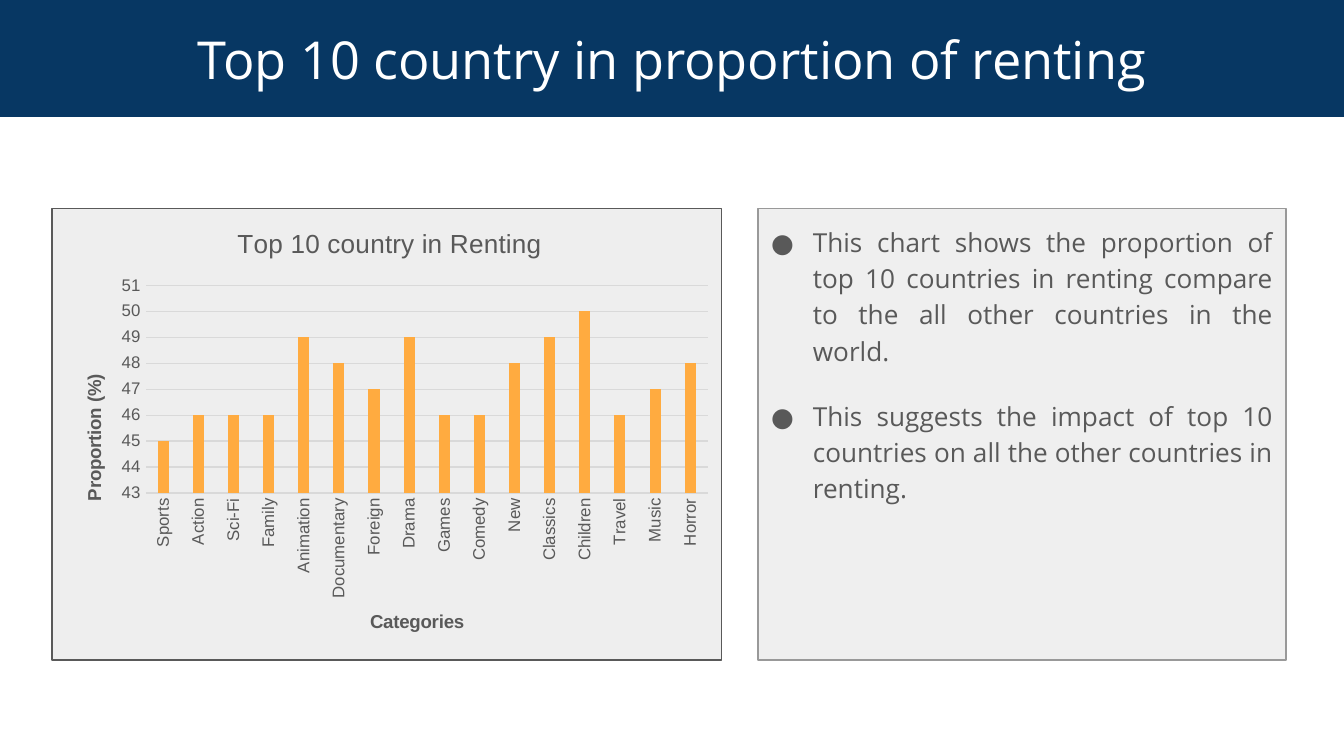
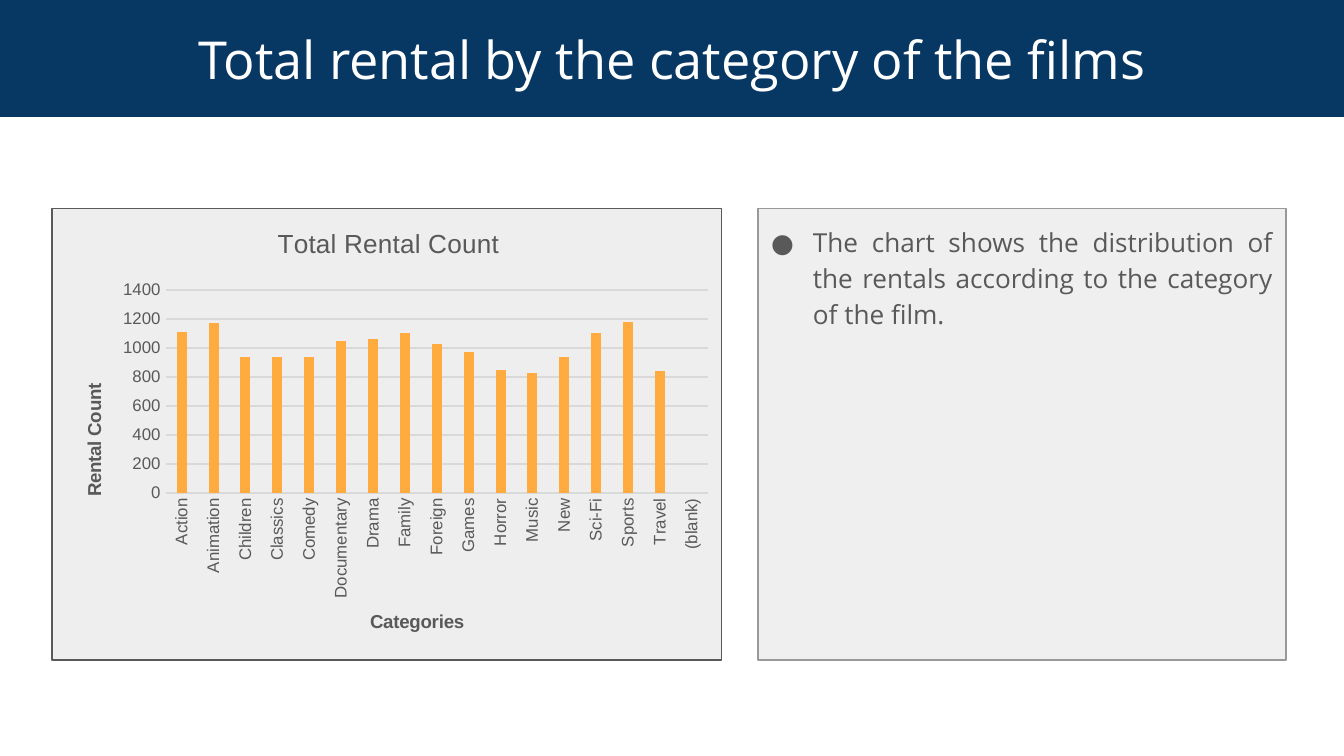
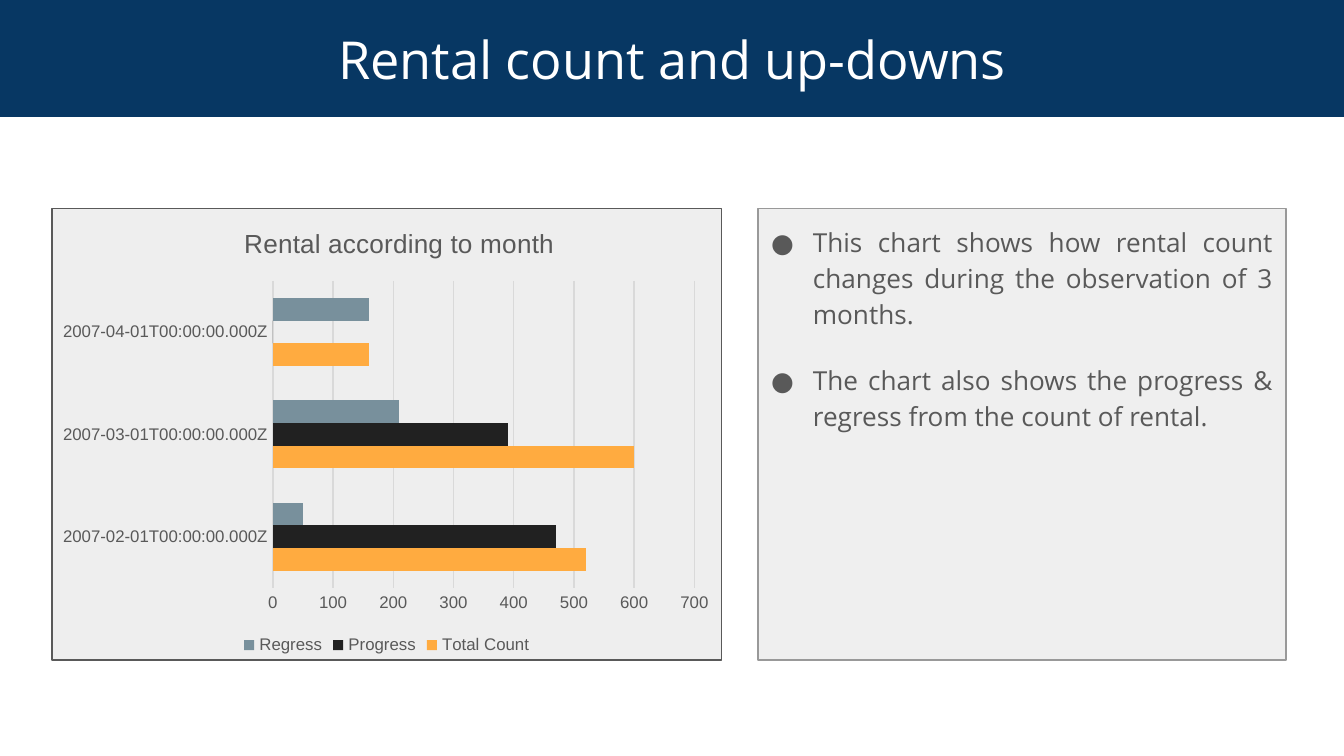
from dataclasses import dataclass
from typing import NamedTuple, Optional

from lxml import etree
from pptx import Presentation
from pptx import util as u
from pptx.chart.data import CategoryChartData
from pptx.dml.color import RGBColor
from pptx.enum import chart as ch, shapes, text
from pptx.oxml import parse_xml
from pptx.oxml.ns import nsdecls, qn


class Area(NamedTuple):
    """A box in cells of the slide grid."""
    col: float
    row: float
    cols: float
    rows: float


class Spot(NamedTuple):
    """A place inside a chart, as shares of its size."""
    x: float
    y: float
    w: Optional[float] = None
    h: Optional[float] = None


class Measure(NamedTuple):
    name: str
    values: list
    color: str


class Scale(NamedTuple):
    low: float
    high: float
    step: float


class AxisName(NamedTuple):
    wording: str
    spot: Spot
    upright: bool = False


@dataclass
class RentalChart:
    heading: str
    heading_spot: Spot
    plot_spot: Spot
    scale: Scale
    categories: list
    measures: list
    category_name: Optional[AxisName] = None
    value_name: Optional[AxisName] = None
    horizontal: bool = False


@dataclass
class Topic:
    title: str
    points: list
    chart: RentalChart


# Shared look: a 16:9 slide whose grid has 100 columns of square cells
WIDTH = u.Inches(10)
HEIGHT = u.Emu(WIDTH * 9 // 16)
CELL = WIDTH / 100
BAND = Area(0, 0, 100, 8.7)
CHART_PANEL = Area(3.87, 15.53, 49.8, 33.6)
NOTES_PANEL = Area(56.4, 15.53, 39.3, 33.6)

NAVY, WHITE, GREY = "073763", "FFFFFF", "595959"
CHART_FILL, NOTES_FILL, NOTES_EDGE = "EEEEEE", "EFEFEF", "999999"
GRID, ORANGE, BLACK, SLATE = "D9D9D9", "FFAB40", "212121", "78909C"
TEXT_FONT, CHART_FONT = "Open Sans", "Arial"
HAIRLINE = u.Pt(0.75)
QUARTER_TURN = "-5400000"


def rgb(color: str) -> RGBColor:
    return RGBColor.from_string(color)


def emu(area: Area) -> list:
    return [u.Emu(round(cells * CELL)) for cells in area]


def set_font(font, name: str, size: float, color: str, bold: bool = False) -> None:
    font.name, font.size, font.bold = name, u.Pt(size), bold
    font.color.rgb = rgb(color)


def set_line(line, color: str) -> None:
    line.color.rgb = rgb(color)
    line.width = HAIRLINE


def add_panel(slide, area: Area, fill: str, edge: Optional[str] = None):
    panel = slide.shapes.add_shape(shapes.MSO_SHAPE.RECTANGLE, *emu(area))
    panel.shadow.inherit = False
    panel.fill.solid()
    panel.fill.fore_color.rgb = rgb(fill)
    if edge:
        set_line(panel.line, edge)
    else:
        panel.line.fill.background()
    frame = panel.text_frame
    frame.word_wrap = True
    frame.margin_left = frame.margin_right = u.Inches(0.1)
    frame.margin_top = frame.margin_bottom = u.Inches(0.1)
    return panel


def add_title_band(slide, title: str) -> None:
    frame = add_panel(slide, BAND, NAVY).text_frame
    frame.vertical_anchor = text.MSO_ANCHOR.MIDDLE
    frame.text = title
    paragraph = frame.paragraphs[0]
    paragraph.alignment = text.PP_ALIGN.CENTER
    set_font(paragraph.runs[0].font, TEXT_FONT, 28, WHITE)


def add_bullet(paragraph) -> None:
    properties = paragraph._p.get_or_add_pPr()
    indent = u.Inches(0.31)
    properties.set("marL", str(indent))
    properties.set("indent", str(-indent))
    color = etree.SubElement(properties, qn("a:buClr"))
    etree.SubElement(color, qn("a:srgbClr")).set("val", GREY)
    etree.SubElement(properties, qn("a:buSzPts")).set("val", "1400")
    etree.SubElement(properties, qn("a:buFont")).set("typeface", TEXT_FONT)
    etree.SubElement(properties, qn("a:buChar")).set("char", "●")


def add_notes(slide, points: list) -> None:
    frame = add_panel(slide, NOTES_PANEL, NOTES_FILL, NOTES_EDGE).text_frame
    frame.vertical_anchor = text.MSO_ANCHOR.TOP
    frame.text = "\n".join(points)
    for paragraph in frame.paragraphs:
        paragraph.alignment = text.PP_ALIGN.JUSTIFY
        paragraph.line_spacing = 1.15
        paragraph.space_after = u.Pt(16)
        add_bullet(paragraph)
        set_font(paragraph.runs[0].font, TEXT_FONT, 14, GREY)


def place(element, spot: Spot) -> None:
    """Give a chart part a fixed place."""
    for automatic in element.findall(qn("c:layout")):
        element.remove(automatic)
    layout = etree.Element(qn("c:layout"))
    manual = etree.SubElement(layout, qn("c:manualLayout"))
    settings = [("xMode", "edge"), ("yMode", "edge")]
    settings += [(key, str(share)) for key, share in spot._asdict().items()
                 if share is not None]
    if spot.w is not None:
        settings.insert(0, ("layoutTarget", "inner"))
    for key, setting in settings:
        etree.SubElement(manual, qn("c:" + key)).set("val", setting)
    element.insert(0 if element.find(qn("c:tx")) is None else 1, layout)


def write_heading(heading, wording: str, spot: Spot, size: float,
                  bold: bool = False, upright: bool = False) -> None:
    frame = heading.text_frame
    frame.text = wording
    set_font(frame.paragraphs[0].runs[0].font, CHART_FONT, size, GREY, bold)
    if upright:
        turn(heading._element)
    place(heading._element, spot)


def turn(element) -> None:
    body = next(element.iter(qn("a:bodyPr")))
    body.set("rot", QUARTER_TURN)
    body.set("vert", "horz")


def style_axis(axis, name: Optional[AxisName]) -> None:
    axis.major_tick_mark = axis.minor_tick_mark = ch.XL_TICK_MARK.NONE
    set_font(axis.tick_labels.font, CHART_FONT, 9, GREY)
    axis.has_title = name is not None
    if name:
        write_heading(axis.axis_title, name.wording, name.spot, 10, True, name.upright)


def add_rental_chart(slide, content: RentalChart) -> None:
    data = CategoryChartData()
    data.categories = content.categories
    for measure in content.measures:
        data.add_series(measure.name, measure.values)
    kind = (ch.XL_CHART_TYPE.BAR_CLUSTERED if content.horizontal
            else ch.XL_CHART_TYPE.COLUMN_CLUSTERED)
    chart = slide.shapes.add_chart(kind, *emu(CHART_PANEL), data).chart

    # The panel behind shows through
    chart._chartSpace.chart.addnext(parse_xml(
        f"<c:spPr {nsdecls('c', 'a')}><a:noFill/><a:ln><a:noFill/></a:ln></c:spPr>"))
    set_font(chart.font, CHART_FONT, 10, "000000")
    chart.has_title = True
    write_heading(chart.chart_title, content.heading, content.heading_spot, 14)
    place(chart._chartSpace.chart.plotArea, content.plot_spot)

    # Axes
    categories, values = chart.category_axis, chart.value_axis
    style_axis(categories, content.category_name)
    style_axis(values, content.value_name)
    set_line(categories.format.line, GRID)
    if not content.horizontal:
        turn(categories._element.find(qn("c:txPr")))
    values.format.line.fill.background()
    values.has_major_gridlines = True
    set_line(values.major_gridlines.format.line, GRID)
    values.minimum_scale, values.maximum_scale, values.major_unit = content.scale

    # Bars
    plot = chart.plots[0]
    plot.vary_by_categories = False
    plot.gap_width = 150 if content.horizontal else 219
    plot.overlap = 0 if content.horizontal else -27
    for series, measure in zip(plot.series, content.measures):
        series.invert_if_negative = False
        series.format.fill.solid()
        series.format.fill.fore_color.rgb = rgb(measure.color)

    chart.has_legend = len(content.measures) > 1
    if chart.has_legend:
        chart.legend.position = ch.XL_LEGEND_POSITION.BOTTOM
        chart.legend.include_in_layout = False
        set_font(chart.legend.font, CHART_FONT, 9, GREY)


# Content
CATEGORY_NAME = AxisName("Categories", Spot(0.47, 0.88))

TOPICS = [
    Topic(
        "Top 10 country in proportion of renting",
        ["This chart shows the proportion of top 10 countries in renting compare "
         "to the all other countries in the world.",
         "This suggests the impact of top 10 countries on all the other countries "
         "in renting."],
        RentalChart(
            "Top 10 country in Renting", Spot(0.27, 0.03),
            Spot(0.14, 0.17, 0.84, 0.46), Scale(43, 51, 1),
            ["Sports", "Action", "Sci-Fi", "Family", "Animation", "Documentary",
             "Foreign", "Drama", "Games", "Comedy", "New", "Classics", "Children",
             "Travel", "Music", "Horror"],
            [Measure("Series 1", [45, 46, 46, 46, 49, 48, 47, 49, 46, 46, 48, 49,
                                  50, 46, 47, 48], ORANGE)],
            CATEGORY_NAME,
            AxisName("Proportion (%)", Spot(0.04, 0.36), upright=True))),
    Topic(
        "Total rental by the category of the films",
        ["The chart shows the distribution of the rentals according to the "
         "category of the film."],
        RentalChart(
            "Total Rental Count", Spot(0.33, 0.03),
            Spot(0.17, 0.18, 0.81, 0.45), Scale(0, 1400, 200),
            ["Action", "Animation", "Children", "Classics", "Comedy", "Documentary",
             "Drama", "Family", "Foreign", "Games", "Horror", "Music", "New",
             "Sci-Fi", "Sports", "Travel", "(blank)"],
            [Measure("Series 1", [1110, 1170, 940, 940, 940, 1050, 1060, 1100, 1030,
                                  970, 850, 830, 940, 1100, 1180, 840, None], ORANGE)],
            CATEGORY_NAME,
            AxisName("Rental Count", Spot(0.04, 0.38), upright=True))),
    Topic(
        "Rental count and up-downs",
        ["This chart shows how rental count changes during the observation of "
         "3 months.",
         "The chart also shows the progress & regress from the count of rental."],
        RentalChart(
            "Rental according to month", Spot(0.28, 0.03),
            Spot(0.33, 0.16, 0.63, 0.68), Scale(0, 700, 100),
            [f"2007-{month:02}-01T00:00:00.000Z" for month in (2, 3, 4)],
            [Measure("Total Count", [520, 600, 160], ORANGE),
             Measure("Progress", [470, 390, 0], BLACK),
             Measure("Regress", [50, 210, 160], SLATE)],
            horizontal=True)),
]

deck = Presentation()
deck.slide_width, deck.slide_height = WIDTH, HEIGHT
for topic in TOPICS:
    page = deck.slides.add_slide(deck.slide_layouts[6])
    add_notes(page, topic.points)
    add_panel(page, CHART_PANEL, CHART_FILL, GREY)
    add_title_band(page, topic.title)
    add_rental_chart(page, topic.chart)
deck.save("out.pptx")
